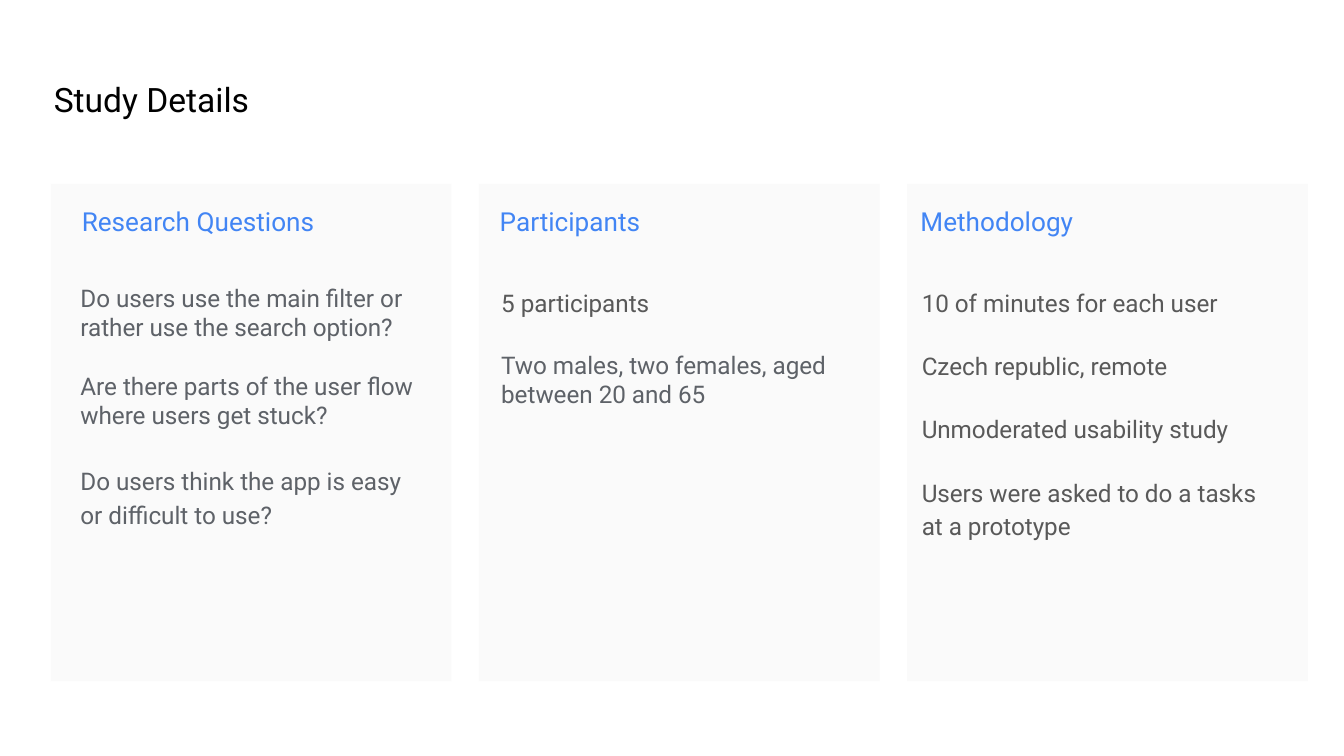
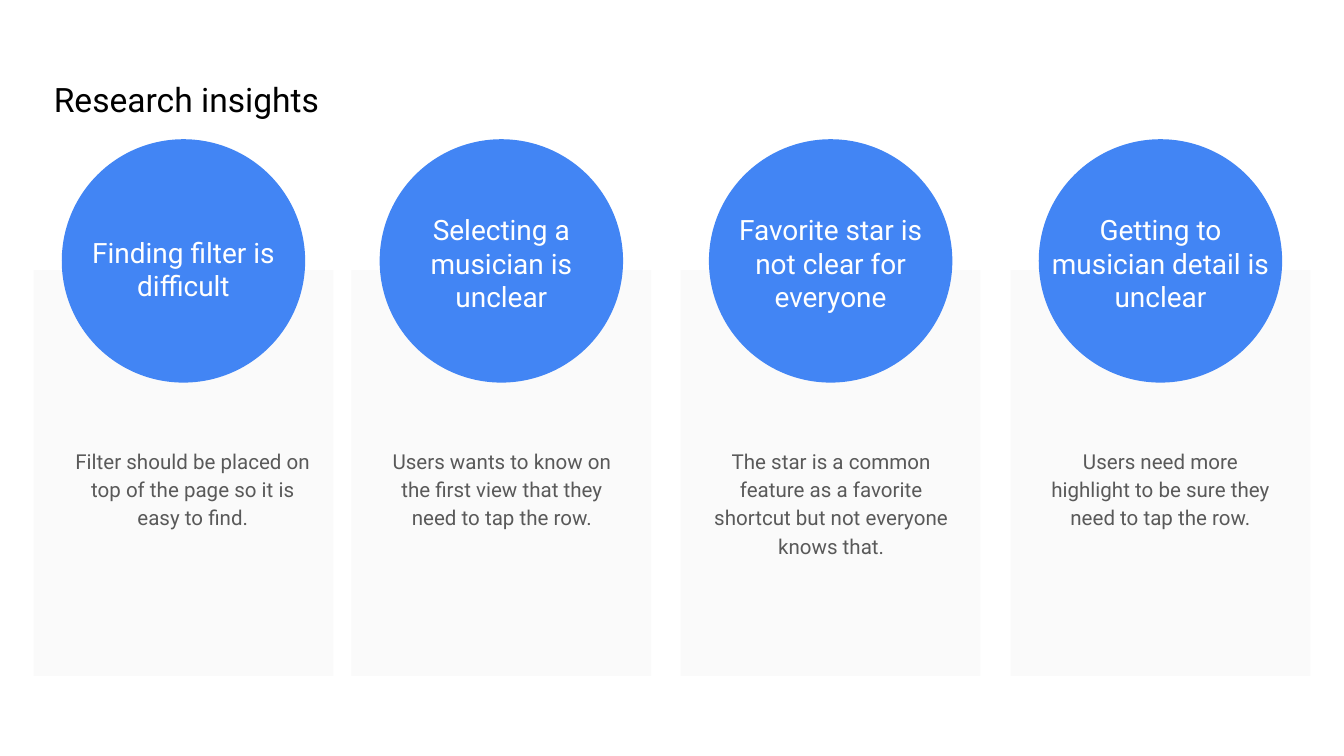
from dataclasses import dataclass

from pptx import Presentation
from pptx import util as u
from pptx.dml import color
from pptx.enum import shapes, text


@dataclass(frozen=True)
class Theme:
    font: str = "Roboto"
    ink: str = "000000"
    accent: str = "4285F4"
    panel: str = "FAFAFA"
    slate: str = "5E6268"
    gray: str = "595959"
    white: str = "FFFFFF"
    title_size: int = 18
    caption_size: int = 15
    heading_size: int = 14
    body_size: int = 13
    note_size: int = 11
    inset: float = 7.2
    loose: float = 1.15


@dataclass(frozen=True)
class Line:
    words: str
    tint: str
    spacing: float = 1.0
    before: float = 0


class Builder:
    def __init__(self, theme):
        self.theme = theme
        self.deck = Presentation()
        self.deck.slide_width = u.Pt(720)
        self.deck.slide_height = u.Pt(405)
        self.page = None

    def start(self, title, width, height):
        self.page = self.deck.slides.add_slide(self.deck.slide_layouts[5])
        box = self.page.shapes.title
        box.left, box.top = u.Pt(21.6), u.Pt(31.7)
        box.width, box.height = u.Pt(width), u.Pt(height)
        line = Line(title, self.theme.ink, self.theme.loose)
        self.set_lines(box, [line], self.theme.title_size)

    def shape(self, kind, left, top, width, height, fill):
        box = self.page.shapes.add_shape(
            kind, u.Pt(left), u.Pt(top), u.Pt(width), u.Pt(height))
        box.shadow.inherit = False
        box.fill.solid()
        box.fill.fore_color.rgb = color.RGBColor.from_string(fill)
        box.line.fill.background()

    def panel(self, left, top, width, height):
        self.shape(shapes.MSO_SHAPE.RECTANGLE, left, top, width, height, self.theme.panel)

    def circle(self, left, top, size):
        self.shape(shapes.MSO_SHAPE.OVAL, left, top, size, size, self.theme.accent)

    def label(self, left, top, width, height, lines, size, centered=False, lead=0):
        box = self.page.shapes.add_textbox(
            u.Pt(left), u.Pt(top), u.Pt(width), u.Pt(height))
        self.set_lines(box, lines, size, centered, lead)

    def set_lines(self, box, lines, size, centered=False, lead=0):
        frame = box.text_frame
        frame.word_wrap = True
        frame.auto_size = text.MSO_AUTO_SIZE.NONE
        frame.vertical_anchor = text.MSO_ANCHOR.TOP
        frame.margin_left = frame.margin_right = frame.margin_bottom = u.Pt(self.theme.inset)
        frame.margin_top = u.Pt(self.theme.inset + lead)
        frame.text = "\n".join(line.words for line in lines)
        for para, line in zip(frame.paragraphs, lines):
            para.alignment = text.PP_ALIGN.CENTER if centered else text.PP_ALIGN.LEFT
            para.line_spacing = line.spacing
            para.space_before = u.Pt(line.before)
            para.space_after = u.Pt(0)
            for span in para.runs:
                span.font.name = self.theme.font
                span.font.size = u.Pt(size)
                span.font.color.rgb = color.RGBColor.from_string(line.tint)


def study_details(builder):
    theme = builder.theme
    loose = theme.loose
    builder.start("Study Details", 139, 59.8)
    columns = [
        ("Research Questions", 36.7, 36, [
            Line("Do users use the main filter or rather use the search option?", theme.slate),
            Line("Are there parts of the user flow where users get stuck?",
                 theme.slate, before=15.5),
            Line("Do users think the app is easy or difficult to use?",
                 theme.slate, loose, 17.8),
        ]),
        ("Participants", 260.6, 261.4, [
            Line("5 participants", theme.gray, loose),
            Line("Two males, two females, aged between 20 and 65", theme.slate, before=17.8),
        ]),
        ("Methodology", 486, 486.7, [
            Line("10 of minutes for each user", theme.gray, loose),
            Line("Czech republic, remote", theme.gray, loose, 16),
            Line("Unmoderated usability study", theme.gray, loose, 16),
            Line("Users were asked to do a tasks at a prototype", theme.gray, loose, 16),
        ]),
    ]
    for index, (heading, heading_left, body_left, lines) in enumerate(columns):
        builder.panel(27.2 + 229.4 * index, 98.6, 214.6, 266.4)
        builder.label(heading_left, 103, 195, 22.3,
                      [Line(heading, theme.accent)], theme.heading_size)
        builder.label(body_left, 144.7, 195, 174.2, lines, theme.body_size)


def research_insights(builder):
    theme = builder.theme
    builder.start("Research insights", 363, 38.2)
    panel_width, circle_size, note_width = 160.6, 130.4, 140.4
    insights = [
        (98.3, 103.3, 118.8, 140.4, "Finding filter is difficult",
         "Filter should be placed on top of the page so it is easy to find."),
        (268.6, 268.9, 106.6, 140.4, "Selecting a musician is unclear",
         "Users wants to know on the first view that they need to tap the row."),
        (445, 445.3, 106.6, 122.4, "Favorite star is not clear for everyone",
         "The star is a common feature as a favorite shortcut but not everyone knows that."),
        (621.7, 621.7, 106.6, 140.4, "Getting to musician detail is unclear",
         "Users need more highlight to be sure they need to tap the row."),
    ]
    for center, note_center, caption_top, caption_width, caption, note in insights:
        builder.panel(center - panel_width / 2, 144.7, panel_width, 217.4)
        builder.circle(center - circle_size / 2, 74.6, circle_size)
        builder.label(center - caption_width / 2, caption_top, caption_width, 42.5,
                      [Line(caption, theme.white)], theme.caption_size, centered=True)
        builder.label(note_center - note_width / 2, 200.5, note_width, 105.8,
                      [Line(note, theme.gray, theme.loose)], theme.note_size,
                      centered=True, lead=30.8)


def main():
    builder = Builder(Theme())
    study_details(builder)
    research_insights(builder)
    builder.deck.save("out.pptx")


if __name__ == "__main__":
    main()
